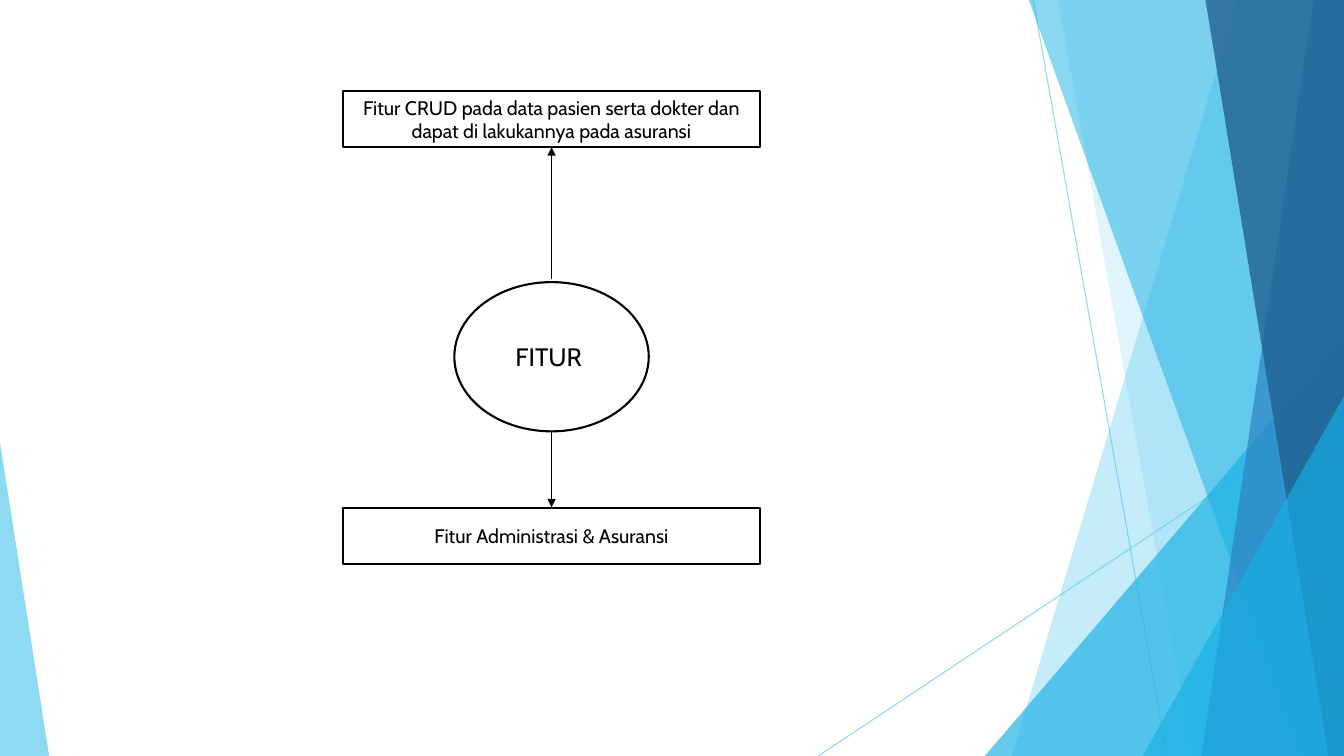
"""Build the feature diagram slide with its faceted blue background."""
from dataclasses import dataclass

from pptx import Presentation
from pptx.dml.color import RGBColor
from pptx.enum.shapes import MSO_CONNECTOR, MSO_SHAPE
from pptx.enum.text import MSO_ANCHOR, PP_ALIGN
from pptx.oxml.ns import qn
from pptx.oxml.xmlchemy import OxmlElement
from pptx.shapes.autoshape import Shape
from pptx.shapes.connector import Connector
from pptx.slide import Slide
from pptx.util import Cm, Pt

SLIDE_WIDTH, SLIDE_HEIGHT = 33.87, 19.05
DIAGRAM_CENTER = 13.9


@dataclass(frozen=True)
class Theme:
    sky: str = "5FCBEF"
    cyan: str = "17B0E4"
    blue: str = "2E83C3"
    navy: str = "226292"
    ink: str = "000000"
    paper: str = "FFFFFF"
    font: str = "Cabin"
    hub_size: float = 18
    feature_size: float = 14
    outline: float = 1.5
    arrow: float = 1
    hairline: float = 0.75


@dataclass(frozen=True)
class Line:
    start: tuple[float, float]
    end: tuple[float, float]
    color: str
    width: float
    opacity: int = 100
    arrowhead: bool = False


@dataclass(frozen=True)
class Band:
    """Full-height area from a slanted left edge to the right slide edge."""
    top_x: float
    bottom_x: float
    color: str
    opacity: int


@dataclass(frozen=True)
class Corner:
    """Right triangle standing on the bottom slide edge."""
    left: float
    top: float
    width: float
    apex: float
    color: str
    opacity: int


@dataclass(frozen=True)
class Node:
    text: str
    preset: MSO_SHAPE
    top: float
    width: float
    height: float
    size: float


THEME = Theme()
RAYS = [
    Line((26.04, 0), (29.41, SLIDE_HEIGHT), THEME.sky, THEME.hairline, 70),
    Line((SLIDE_WIDTH, 10.24), (20.62, SLIDE_HEIGHT), THEME.sky, THEME.hairline, 70),
]
FACETS = [
    Band(31.19, 25.5, THEME.sky, 36),
    Band(26.67, 30.05, THEME.sky, 20),
    Corner(24.82, 8.46, 9.05, 1, THEME.cyan, 66),
    Band(25.93, 32.79, THEME.cyan, 50),
    Band(33.1, 30.28, THEME.blue, 70),
    Band(30.38, 33.48, THEME.navy, 80),
    Corner(28.8, 9.98, 5.07, 1, THEME.cyan, 66),
    Corner(0, 11.15, 1.24, 0, THEME.sky, 70),
]
ARROWS = [
    Line((DIAGRAM_CENTER, start), (DIAGRAM_CENTER, end), THEME.ink, THEME.arrow, arrowhead=True)
    for start, end in [(7.04, 3.71), (10.87, 12.78)]
]
HUB = Node("FITUR ", MSO_SHAPE.OVAL, 7.11, 4.9, 3.76, THEME.hub_size)
FEATURES = [
    Node(text, MSO_SHAPE.RECTANGLE, top, 10.52, 1.42, THEME.feature_size)
    for text, top in [
        ("Fitur CRUD pada data pasien serta dokter dan dapat di lakukannya pada asuransi", 2.29),
        ("Fitur Administrasi & Asuransi", 12.8),
    ]
]


def set_opacity(shape: Shape | Connector, percent: int) -> None:
    alpha = OxmlElement("a:alpha")
    alpha.set("val", str(percent * 1000))
    shape.element.spPr.find(f".//{qn('a:srgbClr')}").append(alpha)


def draw_line(slide: Slide, line: Line) -> None:
    points = [Cm(value) for value in (*line.start, *line.end)]
    connector = slide.shapes.add_connector(MSO_CONNECTOR.STRAIGHT, *points)
    connector.line.color.rgb = RGBColor.from_string(line.color)
    connector.line.width = Pt(line.width)
    properties = connector.element.spPr
    if line.opacity < 100:
        set_opacity(connector, line.opacity)
    if line.arrowhead:
        arrowhead = OxmlElement("a:tailEnd")
        arrowhead.set("type", "triangle")
        properties.find(qn("a:ln")).append(arrowhead)
    properties.append(OxmlElement("a:effectLst"))


def add_band(slide: Slide, band: Band) -> Shape:
    right, bottom = Cm(SLIDE_WIDTH), Cm(SLIDE_HEIGHT)
    builder = slide.shapes.build_freeform(Cm(band.top_x), 0)
    builder.add_line_segments([(right, 0), (right, bottom), (Cm(band.bottom_x), bottom)])
    return builder.convert_to_shape()


def add_corner(slide: Slide, corner: Corner) -> Shape:
    shape = slide.shapes.add_shape(
        MSO_SHAPE.ISOSCELES_TRIANGLE, Cm(corner.left), Cm(corner.top),
        Cm(corner.width), Cm(SLIDE_HEIGHT - corner.top),
    )
    shape.adjustments[0] = corner.apex
    return shape


def draw_facet(slide: Slide, facet: Band | Corner) -> None:
    shape = add_band(slide, facet) if isinstance(facet, Band) else add_corner(slide, facet)
    shape.shadow.inherit = False
    shape.fill.solid()
    shape.fill.fore_color.rgb = RGBColor.from_string(facet.color)
    shape.line.fill.background()
    set_opacity(shape, facet.opacity)


def draw_node(slide: Slide, node: Node) -> None:
    shape = slide.shapes.add_shape(
        node.preset, Cm(DIAGRAM_CENTER - node.width / 2), Cm(node.top),
        Cm(node.width), Cm(node.height),
    )
    shape.shadow.inherit = False
    shape.fill.solid()
    shape.fill.fore_color.rgb = RGBColor.from_string(THEME.paper)
    shape.line.color.rgb = RGBColor.from_string(THEME.ink)
    shape.line.width = Pt(THEME.outline)
    text_frame = shape.text_frame
    text_frame.text = node.text
    text_frame.word_wrap = True
    text_frame.vertical_anchor = MSO_ANCHOR.MIDDLE
    paragraph = text_frame.paragraphs[0]
    paragraph.alignment = PP_ALIGN.CENTER
    font = paragraph.runs[0].font
    font.name = THEME.font
    font.size = Pt(node.size)
    font.color.rgb = RGBColor.from_string(THEME.ink)


def main() -> None:
    presentation = Presentation()
    presentation.slide_width = Cm(SLIDE_WIDTH)
    presentation.slide_height = Cm(SLIDE_HEIGHT)
    slide = presentation.slides.add_slide(presentation.slide_layouts.get_by_name("Blank"))
    for ray in RAYS:
        draw_line(slide, ray)
    for facet in FACETS:
        draw_facet(slide, facet)
    draw_node(slide, HUB)
    for arrow in ARROWS:
        draw_line(slide, arrow)
    for feature in FEATURES:
        draw_node(slide, feature)
    presentation.save("out.pptx")


if __name__ == "__main__":
    main()
